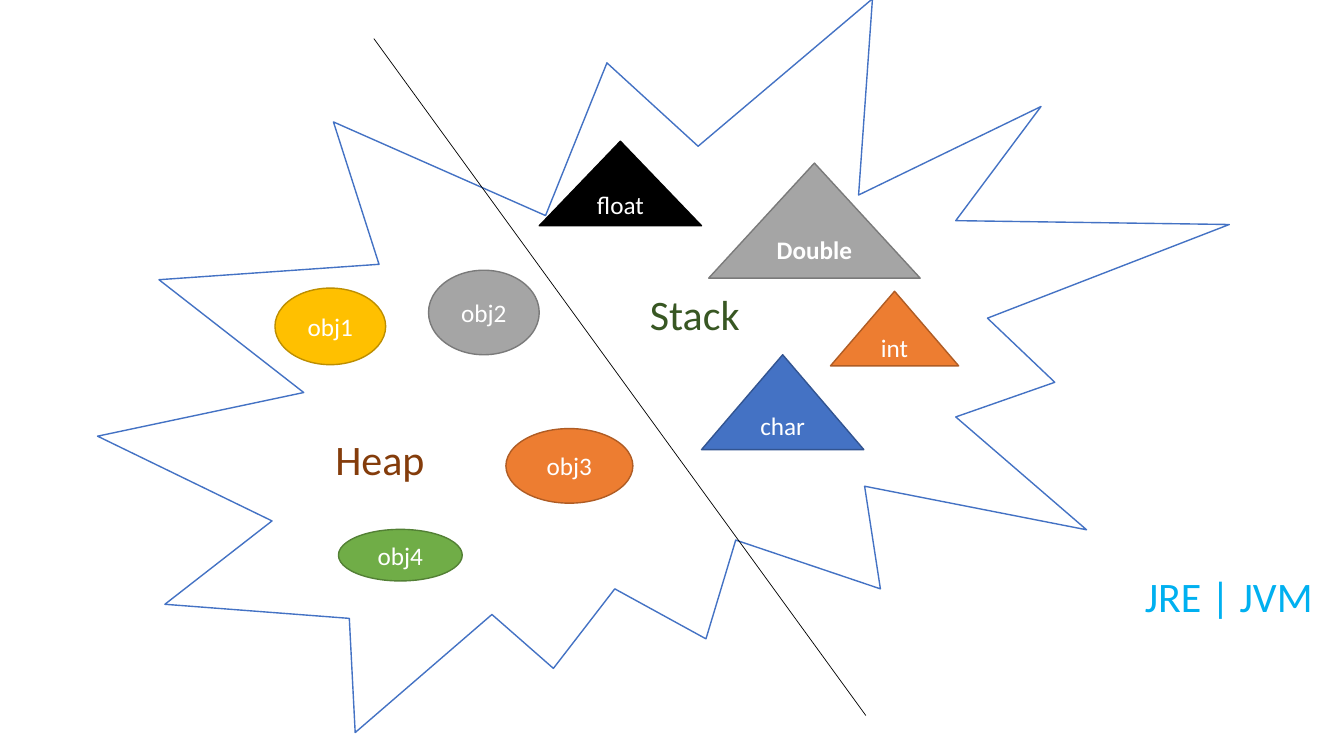
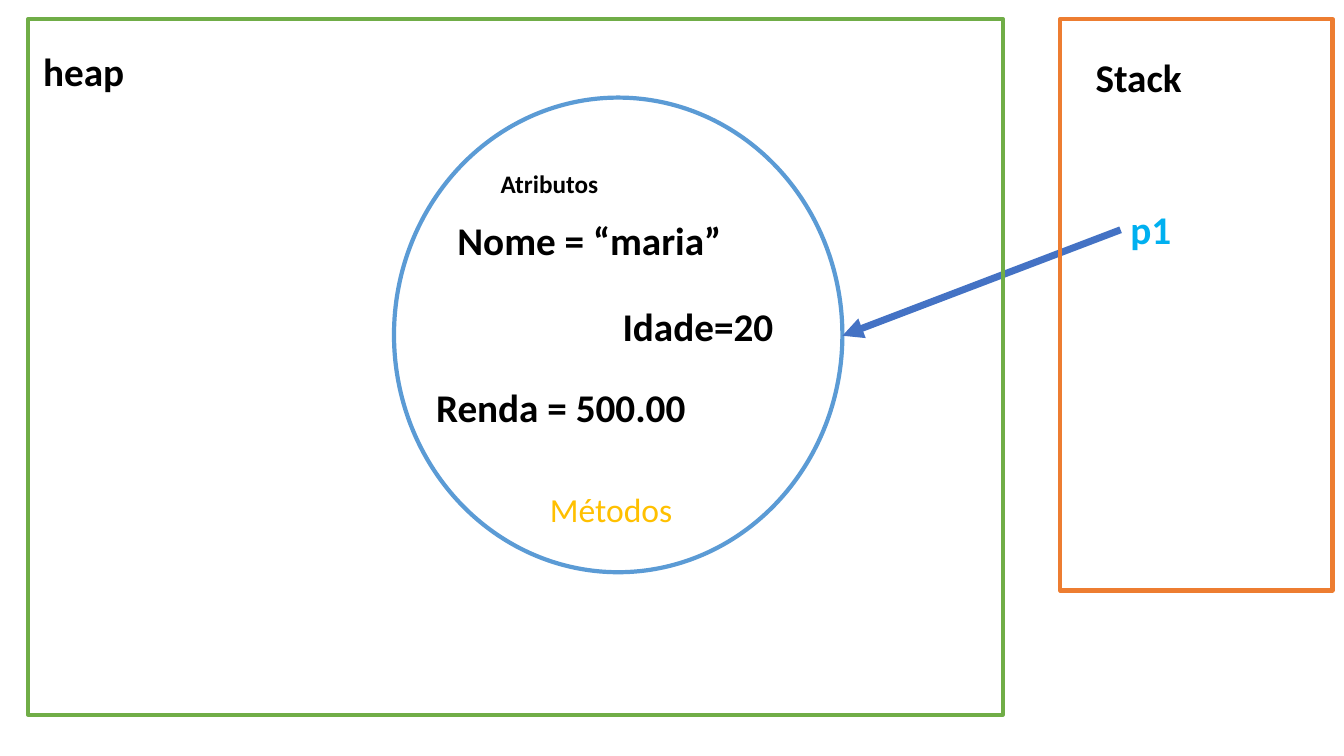
from dataclasses import dataclass

from lxml.etree import SubElement
from pptx import Presentation
from pptx.dml.color import RGBColor
from pptx.enum.shapes import MSO_CONNECTOR, MSO_SHAPE
from pptx.enum.text import MSO_ANCHOR, MSO_AUTO_SIZE, PP_ALIGN
from pptx.oxml.ns import qn
from pptx.util import Cm, Pt


@dataclass(frozen=True)
class Theme:
    """Colours, type sizes and line widths of both slides."""
    font: str = "Calibri"
    black: str = "000000"
    white: str = "FFFFFF"
    blue: str = "4472C4"
    navy: str = "325491"
    sky: str = "5B9BD5"
    cyan: str = "00B0F0"
    orange: str = "ED7D31"
    rust: str = "AF5C24"
    brown: str = "843C0B"
    gold: str = "FFC000"
    ochre: str = "BD8E00"
    grey: str = "A5A5A5"
    slate: str = "7A7A7A"
    green: str = "70AD47"
    moss: str = "538035"
    forest: str = "385723"
    small: int = 18
    mid: int = 24
    large: int = 28
    huge: int = 30
    hair: float = 0.5
    thin: int = 1
    thick: int = 3
    heavy: int = 5


T = Theme()


def put(slide, text, box, kind=None, fill=None, edge=None, width=T.thin,
        size=T.small, color=T.black, bold=False, wrap=True):
    """Add a text box, or a preset shape if kind is given, with its text."""
    area = [Cm(n) for n in box]
    if kind is None:
        shape = slide.shapes.add_textbox(*area)
        shape.text_frame.auto_size = MSO_AUTO_SIZE.SHAPE_TO_FIT_TEXT
    else:
        shape = slide.shapes.add_shape(kind, *area)
        shape.shadow.inherit = False
        if fill:
            shape.fill.solid()
            shape.fill.fore_color.rgb = RGBColor.from_string(fill)
        else:
            shape.fill.background()
        shape.line.color.rgb = RGBColor.from_string(edge)
        shape.line.width = Pt(width)
    if text:
        frame = shape.text_frame
        frame.word_wrap = wrap
        para = frame.paragraphs[0]
        if kind is not None:
            frame.vertical_anchor = MSO_ANCHOR.MIDDLE
            para.alignment = PP_ALIGN.CENTER
        run = para.add_run()
        run.text = text
        run.font.name = T.font
        run.font.size = Pt(size)
        run.font.bold = bold
        run.font.color.rgb = RGBColor.from_string(color)


def link(slide, start, end, color, width, arrow=False):
    """Add a straight line, with an arrowhead at its end if asked."""
    line = slide.shapes.add_connector(
        MSO_CONNECTOR.STRAIGHT, *[Cm(n) for n in start + end])
    line.line.color.rgb = RGBColor.from_string(color)
    line.line.width = Pt(width)
    props = line._element.spPr
    if arrow:
        SubElement(props.find(qn("a:ln")), qn("a:tailEnd"), type="triangle")
    SubElement(props, qn("a:effectLst"))


deck = Presentation()
deck.slide_width, deck.slide_height = Cm(33.87), Cm(19.05)
blank = deck.slide_layouts[6]

# Memory areas of the virtual machine
memory = deck.slides.add_slide(blank)
put(memory, "", (2.46, -0.03, 28.52, 18.49), MSO_SHAPE.EXPLOSION2,
    fill=T.white, edge=T.blue)
link(memory, (9.42, 0.97), (21.82, 18.03), T.black, T.hair)

for text, box, color in (
    ("JRE | JVM", (28.6, 14.25, 4.8, 1.55), T.cyan),
    ("Heap", (8.2, 10.8, 2.79, 1.55), T.brown),
    ("Stack", (16.13, 7.14, 2.79, 1.55), T.forest),
):
    put(memory, text, box, size=T.huge, color=color, wrap=False)

for text, box, fill, edge in (
    ("obj1", (6.93, 7.26, 2.79, 1.93), T.gold, T.ochre),
    ("obj3", (12.75, 10.8, 3.2, 1.88), T.orange, T.rust),
    ("obj2", (10.8, 6.81, 2.79, 2.13), T.grey, T.slate),
    ("obj4", (8.53, 13.34, 3.12, 1.3), T.green, T.moss),
):
    put(memory, text, box, MSO_SHAPE.OVAL, fill=fill, edge=edge, color=T.white)

for text, box, fill, edge in (
    ("float", (13.59, 3.56, 4.09, 2.13), T.black, T.black),
    ("char", (17.68, 8.94, 4.09, 2.39), T.blue, T.navy),
    ("int", (20.93, 7.34, 3.23, 1.88), T.orange, T.rust),
    ("Double", (17.86, 4.11, 5.33, 2.9), T.grey, T.slate),
):
    put(memory, text, box, MSO_SHAPE.ISOSCELES_TRIANGLE, fill=fill, edge=edge,
        color=T.white, bold=text == "Double")

# One object on the heap and its reference on the stack
person = deck.slides.add_slide(blank)
put(person, "", (9.93, 2.46, 11.3, 11.96), MSO_SHAPE.OVAL,
    fill=T.white, edge=T.sky, width=T.thick)
put(person, "Atributos", (12.37, 4.11, 3, 1.02), bold=True, wrap=False)
put(person, "Métodos", (13.61, 12.19, 3.63, 1.27),
    size=T.mid, color=T.gold, wrap=False)
put(person, "p1", (28.24, 5.05, 5.59, 1.45),
    size=T.large, color=T.cyan, bold=True)
link(person, (28.24, 5.79), (21.23, 8.46), T.blue, T.heavy, arrow=True)

for box, edge in (
    ((26.72, 0.48, 6.86, 14.4), T.orange),
    ((0.71, 0.48, 24.56, 17.53), T.green),
):
    put(person, "", box, MSO_SHAPE.RECTANGLE, edge=edge, width=T.thick)

for text, left, top, wide in (
    ("Nome = “maria”", 11.28, 5.33, 7.24),
    ("Idade=20", 15.44, 7.49, 4.37),
    ("Renda = 500.00", 10.74, 9.53, 6.88),
    ("Stack", 27.36, 1.22, 2.72),
    ("heap", 0.84, 1.07, 2.59),
):
    put(person, text, (left, top, wide, 1.45),
        size=T.large, bold=True, wrap=False)

deck.save("out.pptx")
